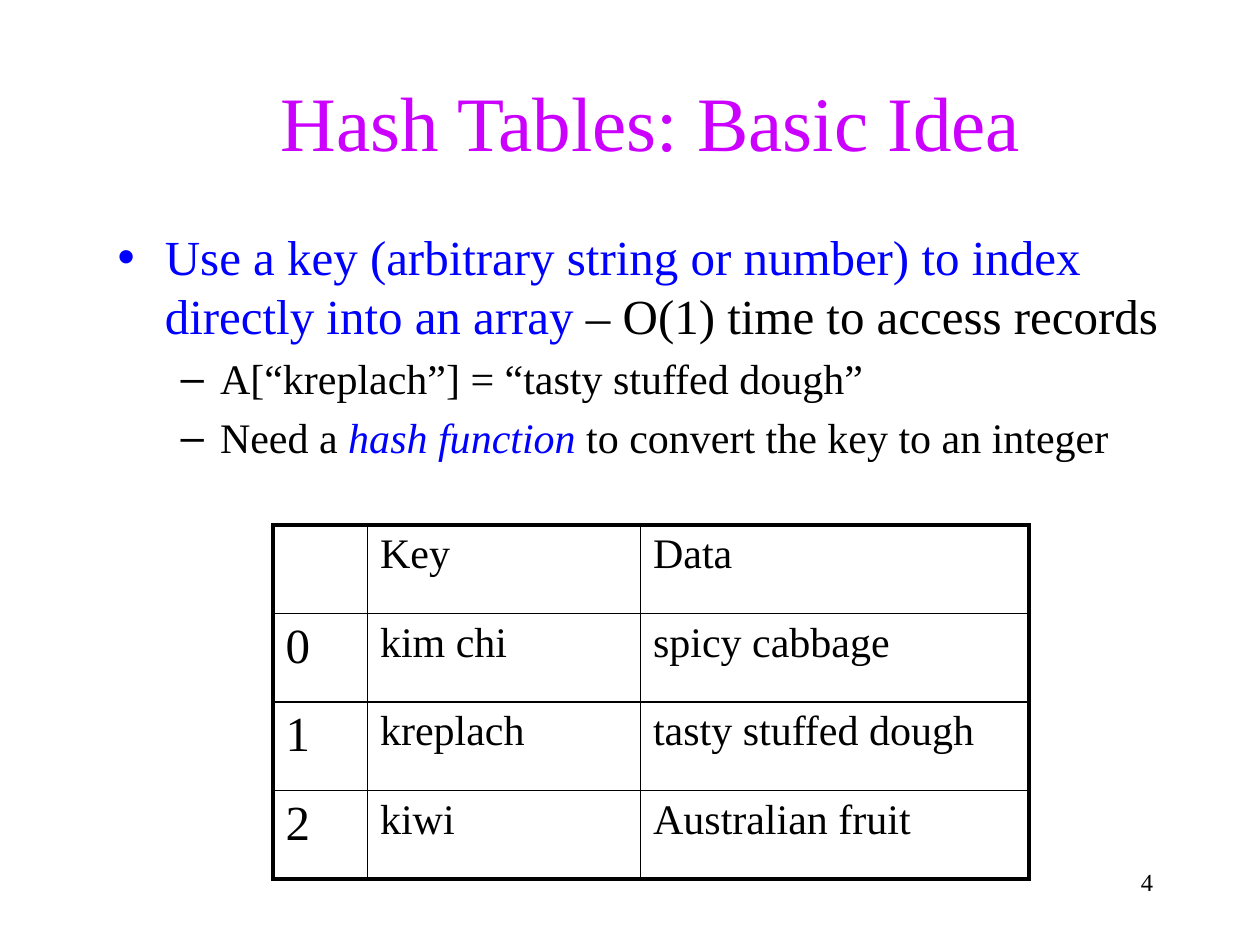
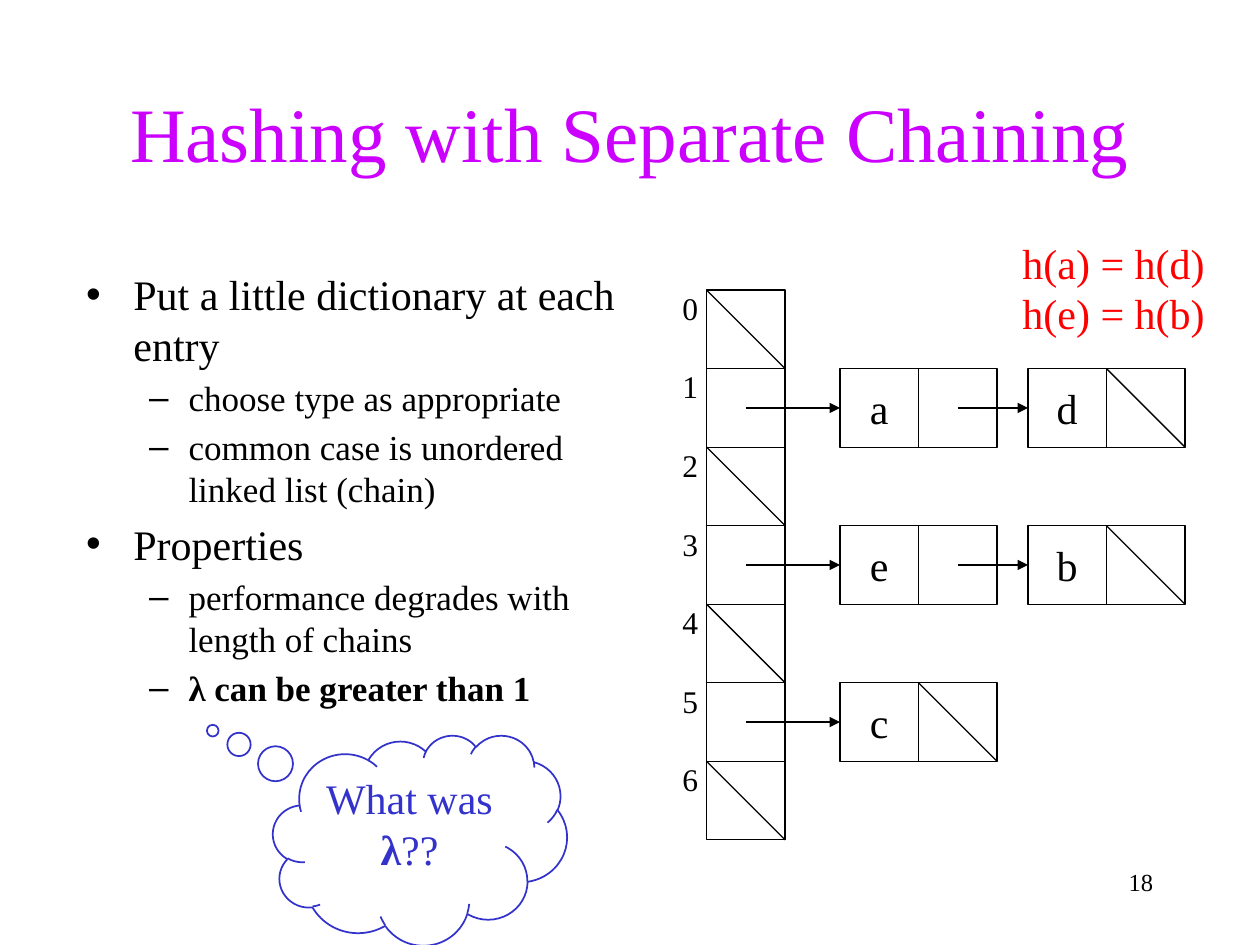
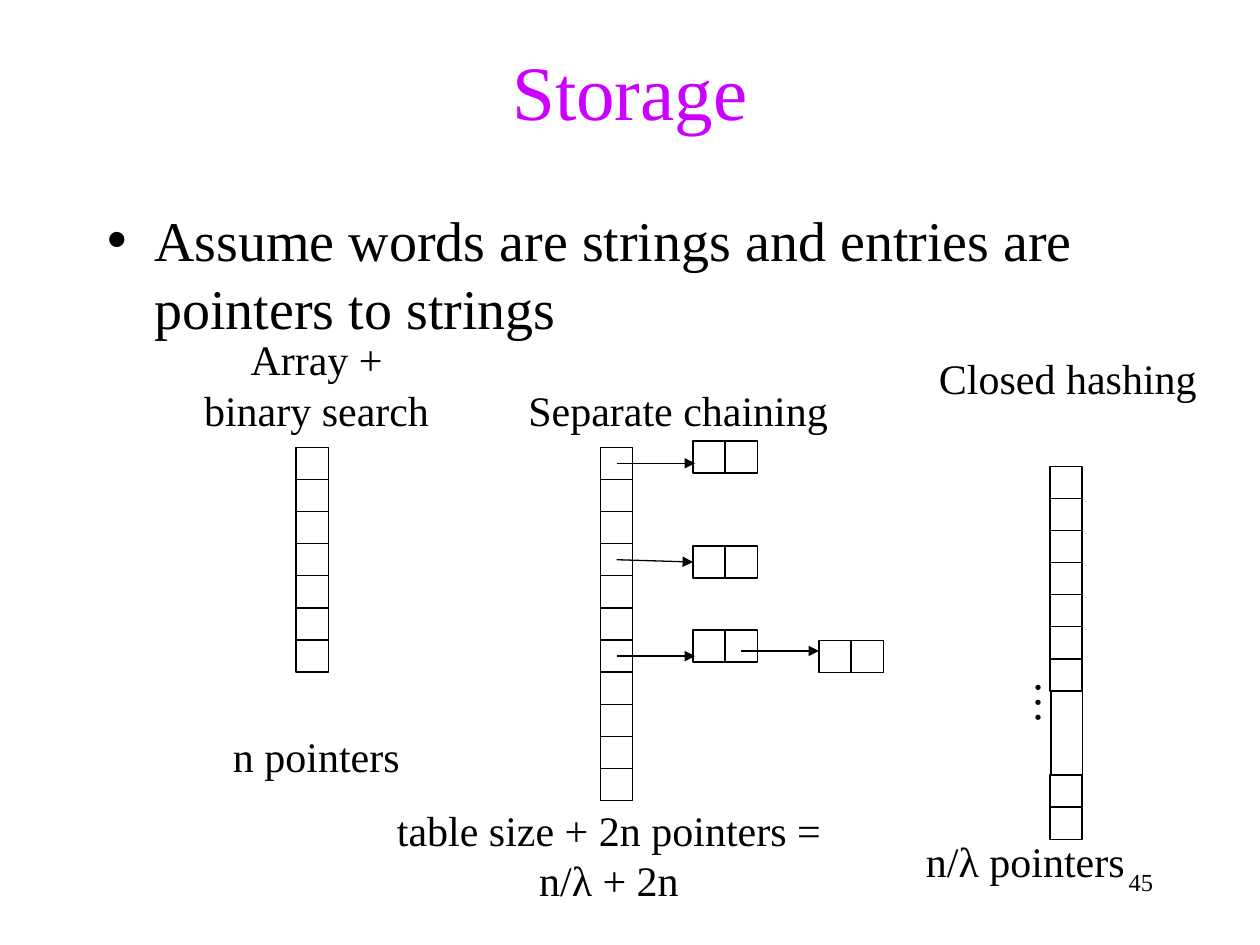
from dataclasses import dataclass

import pptx
import pptx.util
import pptx.dml.color
import pptx.enum.shapes
import pptx.enum.text
import pptx.oxml.ns
from lxml import etree

SHAPE = pptx.enum.shapes.MSO_SHAPE
ALIGN = pptx.enum.text.PP_ALIGN
ANCHOR = pptx.enum.text.MSO_ANCHOR
qn = pptx.oxml.ns.qn


@dataclass(frozen=True)
class Theme:
    font: str = "Times New Roman"
    title: str = "CC00FF"
    ink: str = "000000"
    key: str = "0000FF"
    alert: str = "FF0000"
    thought: str = "3333CC"
    title_size: int = 44
    lead_size: int = 32
    large_size: int = 28
    text_size: int = 24
    small_size: int = 20
    index_size: int = 18
    number_size: int = 14
    thin: float = 0.75
    rule: float = 1
    frame: float = 2.25


T = Theme()
COLUMNS, ROWS = 120, 90
WIDTH, HEIGHT = pptx.util.Inches(10), pptx.util.Inches(7.5)


def gx(columns):
    return round(WIDTH * columns / COLUMNS)


def gy(rows):
    return round(HEIGHT * rows / ROWS)


def box(x, y, w, h):
    return gx(x), gy(y), gx(w), gy(h)


def rgb(color):
    return pptx.dml.color.RGBColor.from_string(color)


def style(r, size, color=T.ink, bold=False, italic=False):
    r.font.name = T.font
    r.font.size = pptx.util.Pt(size)
    r.font.color.rgb = rgb(color)
    r.font.bold = bold
    r.font.italic = italic


def style_frame(tf, size, color=T.ink, align=ALIGN.LEFT):
    for p in tf.paragraphs:
        p.alignment = align
        for r in p.runs:
            style(r, size, color)


def add_runs(p, size, pieces):
    for text, look in pieces:
        r = p.add_run()
        r.text = text
        style(r, size, **look)


def add_label(shapes, area, text, size=T.text_size, color=T.ink,
              align=ALIGN.LEFT, wrap=False):
    tf = shapes.add_textbox(*box(*area)).text_frame
    tf.word_wrap = wrap
    tf.text = text
    style_frame(tf, size, color, align)
    return tf


def add_outline(shapes, kind, area, color=T.ink, weight=T.thin):
    sp = shapes.add_shape(kind, *box(*area))
    sp.shadow.inherit = False
    sp.fill.background()
    sp.line.color.rgb = rgb(color)
    sp.line.width = pptx.util.Pt(weight)
    return sp


def add_cell(shapes, x, y, w, h, text="", size=T.text_size):
    sp = add_outline(shapes, SHAPE.RECTANGLE, (x, y, w, h))
    if text:
        tf = sp.text_frame
        tf.word_wrap = False
        tf.vertical_anchor = ANCHOR.MIDDLE
        tf.text = text
        style_frame(tf, size, align=ALIGN.CENTER)
    return sp


def add_stack(shapes, x, y, side, count):
    return [add_cell(shapes, x, y + i * side, side, side) for i in range(count)]


def add_link(shapes, x, y, side, text=""):
    return (add_cell(shapes, x, y, side, side, text),
            add_cell(shapes, x + side, y, side, side))


def add_line(shapes, x1, y1, x2, y2, arrow=False, target=None):
    line = shapes.add_connector(pptx.enum.shapes.MSO_CONNECTOR.STRAIGHT,
                                gx(x1), gy(y1), gx(x2), gy(y2))
    line.line.color.rgb = rgb(T.ink)
    line.line.width = pptx.util.Pt(T.thin)
    spPr = line._element.spPr
    if arrow:
        etree.SubElement(spPr.find(qn("a:ln")), qn("a:tailEnd"), type="triangle")
    etree.SubElement(spPr, qn("a:effectLst"))
    if target is not None:
        line.end_connect(target, 1)


def add_diagonal(shapes, x, y, side):
    add_line(shapes, x, y, x + side, y + side)


def place(sp, area):
    sp.left, sp.top, sp.width, sp.height = box(*area)
    sp.text_frame.auto_size = pptx.enum.text.MSO_AUTO_SIZE.NONE


def add_slide(prs, title, title_at, number):
    s = prs.slides.add_slide(prs.slide_layouts[1])
    place(s.shapes.title, (*title_at, 102, 15))
    s.shapes.title.text_frame.text = title
    style_frame(s.shapes.title.text_frame, T.title_size, T.title, ALIGN.CENTER)
    add_label(s.shapes, (86, 82, 25, 6), number, T.number_size,
              align=ALIGN.RIGHT, wrap=True)
    return s


def fill_body(s, area, items, sizes):
    sp = s.placeholders[1]
    place(sp, area)
    tf = sp.text_frame
    for i, (level, pieces) in enumerate(items):
        p = tf.add_paragraph() if i else tf.paragraphs[0]
        p.level = level
        add_runs(p, sizes[level], pieces)


def set_borders(cell, weights):
    tcPr = cell._tc.get_or_add_tcPr()
    for side, weight in zip("LRTB", weights):
        ln = etree.SubElement(tcPr, qn(f"a:ln{side}"), w=str(pptx.util.Pt(weight)))
        fill = etree.SubElement(ln, qn("a:solidFill"))
        etree.SubElement(fill, qn("a:srgbClr"), val=T.ink)


def add_framed_table(s, x, y, widths, row_height, rows):
    last_row, last_col = len(rows) - 1, len(widths) - 1
    frame = s.shapes.add_table(len(rows), len(widths),
                               *box(x, y, sum(widths), row_height * len(rows)))
    table = frame.table
    table.first_row = table.horz_banding = False
    for column, width in zip(table.columns, widths):
        column.width = gx(width)
    for i, row in enumerate(rows):
        table.rows[i].height = gy(row_height)
        for j, text in enumerate(row):
            cell = table.cell(i, j)
            edges = (j == 0, j == last_col, i == 0, i == last_row)
            set_borders(cell, [T.frame if edge else T.rule for edge in edges])
            cell.fill.background()
            cell.text = text
            style_frame(cell.text_frame, T.text_size if j else T.large_size)


def basic_idea(prs):
    s = add_slide(prs, "Hash Tables: Basic Idea", (11, 4), "4")
    fill_body(s, (10, 21, 102, 54), [
        (0, [("Use a key (arbitrary string or number) to index directly into an array",
              {"color": T.key}),
             (" – O(1) time to access records", {})]),
        (1, [("A[“kreplach”] = “tasty stuffed dough”", {})]),
        (1, [("Need a ", {}),
             ("hash function", {"color": T.key, "italic": True}),
             (" to convert the key to an integer", {})]),
    ], (T.large_size, T.text_size))
    add_framed_table(s, 26, 50, (9, 26, 37), 8.43, [
        ("", "Key", "Data"),
        ("0", "kim chi", "spicy cabbage"),
        ("1", "kreplach", "tasty stuffed dough"),
        ("2", "kiwi", "Australian fruit"),
    ])


def add_chain(shapes, start_x, y, side, names, first_x, pitch):
    for i, name in enumerate(names):
        x = first_x + i * pitch
        node, _ = add_link(shapes, x, y, side, name)
        middle = y + side / 2
        add_line(shapes, start_x, middle, x, middle, arrow=True, target=node)
        start_x = x + 1.5 * side
    add_diagonal(shapes, x + side, y, side)


def separate_chaining(prs):
    s = add_slide(prs, "Hashing with Separate Chaining", (9, 5), "18")
    fill_body(s, (7, 25, 53, 54), [
        (0, [("Put a little dictionary at each entry", {})]),
        (1, [("choose type as appropriate", {})]),
        (1, [("common case is unordered linked list (chain)", {})]),
        (0, [("Properties", {})]),
        (1, [("performance degrades with length of chains", {})]),
        (1, [("λ can be greater than 1", {"bold": True})]),
    ], (T.text_size, T.small_size))

    x, top, side = 67.3, 27.63, 7.48
    chains = {1: "ad", 3: "eb", 5: "c"}
    add_stack(s.shapes, x, top, side, 7)
    for i in range(7):
        y = top + i * side
        add_label(s.shapes, (x - 3.5, y - 0.7, 4, 4.8), str(i), T.index_size)
        if i in chains:
            add_chain(s.shapes, x + side / 2, y, side, chains[i], 80, 17.9)
        else:
            add_diagonal(s.shapes, x, y, side)

    add_label(s.shapes, (96.2, 22, 19.8, 10.8), "h(a) = h(d)\nh(e) = h(b)",
              color=T.alert)
    cloud = add_outline(s.shapes, SHAPE.CLOUD_CALLOUT, (26, 70, 28, 20),
                        T.thought, T.rule)
    cloud.adjustments[0], cloud.adjustments[1] = -0.705, -0.521
    tf = cloud.text_frame
    tf.vertical_anchor = ANCHOR.TOP
    tf.text = "What was"
    add_runs(tf.add_paragraph(), T.text_size,
             [("λ", {"color": T.thought, "bold": True}),
              ("??", {"color": T.thought})])
    tf.paragraphs[0].alignment = tf.paragraphs[1].alignment = ALIGN.CENTER
    style(tf.paragraphs[0].runs[0], T.text_size, T.thought)


def storage_array(s, side):
    shapes = s.shapes.add_group_shape().shapes
    add_stack(shapes, 28.2, 42.6, side, 7)
    add_label(shapes, (18.2, 31.2, 23.9, 10.8), "Array +\nbinary search",
              align=ALIGN.CENTER)
    add_label(s.shapes, (21, 69, 19, 6), "n pointers", wrap=True)


def storage_chaining(s, side):
    x, top, link_x = 57.2, 42.6, 66
    add_stack(s.shapes, x, top, side, 11)
    add_label(s.shapes, (49.1, 36, 31, 6), "Separate chaining", align=ALIGN.CENTER)
    for row, link_y, joined in ((0, 42, False), (3, 52, True), (6, 60, False)):
        node, _ = add_link(s.shapes, link_x, link_y, side)
        middle = top + (row + 0.5) * side
        add_line(s.shapes, x + side / 2, middle, link_x + 0.2, middle,
                 arrow=True, target=node if joined else None)
    add_link(s.shapes, 78, 61, side)
    add_line(s.shapes, link_x + 1.5 * side, 62, 78, 62, arrow=True)
    add_label(s.shapes, (33, 76, 50, 10.8), "table size + 2n pointers =\vn/λ + 2n",
              align=ALIGN.CENTER, wrap=True)


def storage_closed(s, side):
    shapes = s.shapes.add_group_shape().shapes
    x, top, gap = 100, 44.4, 8
    gap_top = top + 7 * side
    add_stack(shapes, x, top, side, 7)
    add_stack(shapes, x, gap_top + gap, side, 2)
    skipped = add_cell(shapes, x + 0.1, gap_top, 3, gap, "…", T.title_size)
    tf = skipped.text_frame
    tf._txBody.bodyPr.set("vert", "eaVert")
    tf.paragraphs[0].runs[0].font._element.set("baseline", "30000")
    add_label(shapes, (88.2, 33, 27, 6), "Closed hashing", align=ALIGN.CENTER)
    add_label(s.shapes, (87, 79, 22, 6), "n/λ pointers", wrap=True)


def storage(prs):
    s = add_slide(prs, "Storage", (9, 1), "45")
    fill_body(s, (9, 19, 102, 54), [
        (0, [("Assume words are strings and entries are pointers to strings", {})]),
    ], (T.lead_size,))
    side = 3.06
    storage_array(s, side)
    storage_chaining(s, side)
    storage_closed(s, side)


def main():
    prs = pptx.Presentation()
    prs.slide_width, prs.slide_height = WIDTH, HEIGHT
    basic_idea(prs)
    separate_chaining(prs)
    storage(prs)
    prs.save("out.pptx")


if __name__ == "__main__":
    main()
